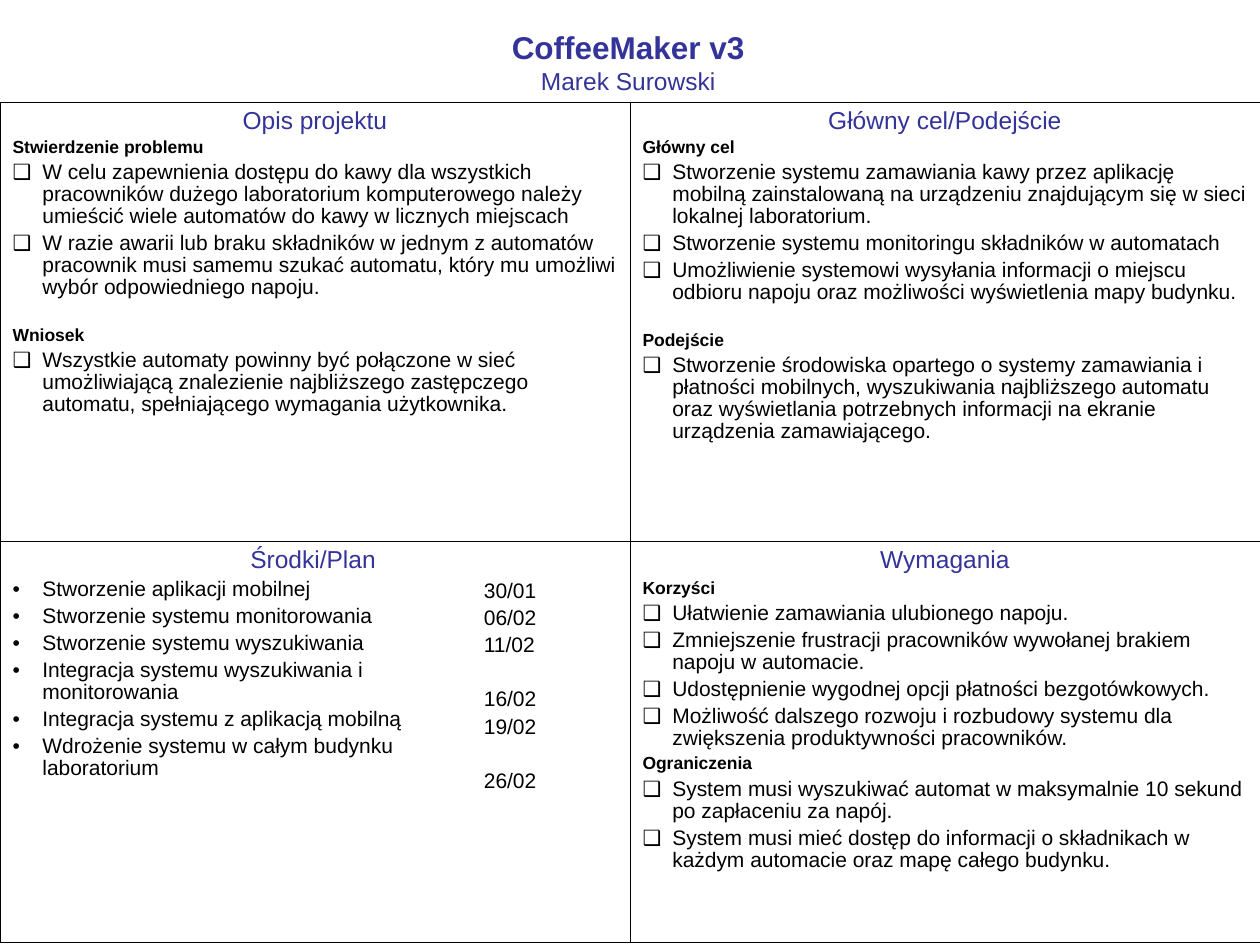
from lxml import etree
from pptx import Presentation
from pptx.dml.color import RGBColor
from pptx.enum import text
from pptx.oxml import ns
from pptx.util import Pt

NAVY, BLACK = "333399", "000000"
LINE_SPACING = 0.93
BULLET_INDENT = 17


def rgb(hex_code):
    return RGBColor.from_string(hex_code)


def write(paragraph, words, size, color=BLACK, bold=False, before=3, bullet=None):
    paragraph.text = words
    font = paragraph.font
    font.name, font.size, font.bold = "Arial", Pt(size), bold
    font.color.rgb = rgb(color)
    paragraph.line_spacing = LINE_SPACING
    paragraph.space_before = Pt(before)
    if bullet:
        props = paragraph._p.get_or_add_pPr()
        props.set("marL", str(Pt(BULLET_INDENT)))
        props.set("indent", str(-Pt(BULLET_INDENT)))
        bullet_color = etree.SubElement(props, ns.qn("a:buClr"))
        etree.SubElement(bullet_color, ns.qn("a:srgbClr"), val=BLACK)
        etree.SubElement(props, ns.qn("a:buFont"), typeface="Arial")
        etree.SubElement(props, ns.qn("a:buChar"), char=bullet)


deck = Presentation()
deck.slide_width, deck.slide_height = Pt(720), Pt(540)
slide = deck.slides.add_slide(deck.slide_layouts[5])

# Title and author
title = slide.shapes.title
title.left, title.top, title.width, title.height = Pt(59), Pt(12.3), Pt(600), Pt(46)
heading = title.text_frame
heading.auto_size = text.MSO_AUTO_SIZE.NONE
heading.vertical_anchor = text.MSO_ANCHOR.TOP
write(heading.paragraphs[0], "CoffeeMaker v3", 18, NAVY, True, 0)
write(heading.add_paragraph(), "Marek Surowski", 14, NAVY, False, 0)
for line in heading.paragraphs:
    line.line_spacing = 1.0
    line.alignment = text.PP_ALIGN.CENTER

# Four-part grid; the plan quarter has a column of its own for dates
grid = slide.shapes.add_table(2, 3, 0, Pt(58.5), Pt(720), Pt(480)).table
grid.first_row = grid.horz_banding = False
for column, width in zip(grid.columns, (269.3, 90.7, 360)):
    column.width = Pt(width)
for row, height in zip(grid.rows, (251, 229)):
    row.height = Pt(height)
grid.cell(0, 0).merge(grid.cell(0, 1))

# Cell borders, with none between plan and dates
open_sides = {(1, 0, "R"), (1, 1, "L")}
for r in range(2):
    for c in range(3):
        cell = grid.cell(r, c)
        cell.fill.background()
        cell_props = cell._tc.get_or_add_tcPr()
        for place, side in enumerate("LRTB"):
            border = etree.Element(ns.qn(f"a:ln{side}"), w=str(Pt(0.5)))
            if (r, c, side) in open_sides:
                etree.SubElement(border, ns.qn("a:noFill"))
            else:
                solid = etree.SubElement(border, ns.qn("a:solidFill"))
                etree.SubElement(solid, ns.qn("a:srgbClr"), val=BLACK)
            cell_props.insert(place, border)

# Each quarter: row, column, heading, bullet, then (subheading, space before, items)
quarters = [
    (0, 0, "Opis projektu", "❑", [
        ("Stwierdzenie problemu", 2.5, [
            "W celu zapewnienia dostępu do kawy dla wszystkich pracowników dużego laboratorium "
            "komputerowego należy umieścić wiele automatów do kawy w licznych miejscach",
            "W razie awarii lub braku składników w jednym z automatów pracownik musi samemu "
            "szukać automatu, który mu umożliwi wybór odpowiedniego napoju."]),
        ("Wniosek", 16, [
            "Wszystkie automaty powinny być połączone w sieć umożliwiającą znalezienie "
            "najbliższego zastępczego automatu, spełniającego wymagania użytkownika."])]),
    (0, 2, "Główny cel/Podejście", "❑", [
        ("Główny cel", 2.5, [
            "Stworzenie systemu zamawiania kawy przez aplikację mobilną zainstalowaną na "
            "urządzeniu znajdującym się w sieci lokalnej laboratorium.",
            "Stworzenie systemu monitoringu składników w automatach",
            "Umożliwienie systemowi wysyłania informacji o miejscu odbioru napoju oraz "
            "możliwości wyświetlenia mapy budynku."]),
        ("Podejście", 16, [
            "Stworzenie środowiska opartego o systemy zamawiania i płatności mobilnych, "
            "wyszukiwania najbliższego automatu oraz wyświetlania potrzebnych informacji "
            "na ekranie urządzenia zamawiającego."])]),
    (1, 0, "Środki/Plan", "•", [
        (None, 0, [
            "Stworzenie aplikacji mobilnej",
            "Stworzenie systemu monitorowania",
            "Stworzenie systemu wyszukiwania",
            "Integracja systemu wyszukiwania i monitorowania",
            "Integracja systemu z aplikacją mobilną",
            "Wdrożenie systemu w całym budynku laboratorium"])]),
    (1, 2, "Wymagania", "❑", [
        ("Korzyści", 3.5, [
            "Ułatwienie zamawiania ulubionego napoju.",
            "Zmniejszenie frustracji pracowników wywołanej brakiem napoju w automacie.",
            "Udostępnienie wygodnej opcji płatności bezgotówkowych.",
            "Możliwość dalszego rozwoju i rozbudowy systemu dla zwiększenia produktywności "
            "pracowników."]),
        ("Ograniczenia", 3, [
            "System musi wyszukiwać automat w maksymalnie 10 sekund po zapłaceniu za napój.",
            "System musi mieć dostęp do informacji o składnikach w każdym automacie oraz "
            "mapę całego budynku."])]),
]
for r, c, quarter, bullet, sections in quarters:
    frame = grid.cell(r, c).text_frame
    write(frame.paragraphs[0], quarter, 14, NAVY, before=3.5)
    frame.paragraphs[0].alignment = text.PP_ALIGN.CENTER
    for subheading, before, items in sections:
        if subheading:
            write(frame.add_paragraph(), subheading, 10, bold=True, before=before)
        for item in items:
            write(frame.add_paragraph(), item, 12, bullet=bullet)

# The plan heading is centred over plan and dates together
plan_heading = grid.cell(1, 0).text_frame.paragraphs[0]
plan_heading._p.get_or_add_pPr().set("marL", str(Pt(88.5)))

# Dates, with a line's gap beside each two-line step
dates = grid.cell(1, 1)
dates.margin_top = Pt(22.5)
schedule = [("30/01", 0), ("06/02", 3), ("11/02", 3), ("16/02", 18.5), ("19/02", 3), ("26/02", 18.5)]
for i, (date, before) in enumerate(schedule):
    frame = dates.text_frame
    write(frame.add_paragraph() if i else frame.paragraphs[0], date, 12, before=before)

deck.save("out.pptx")
